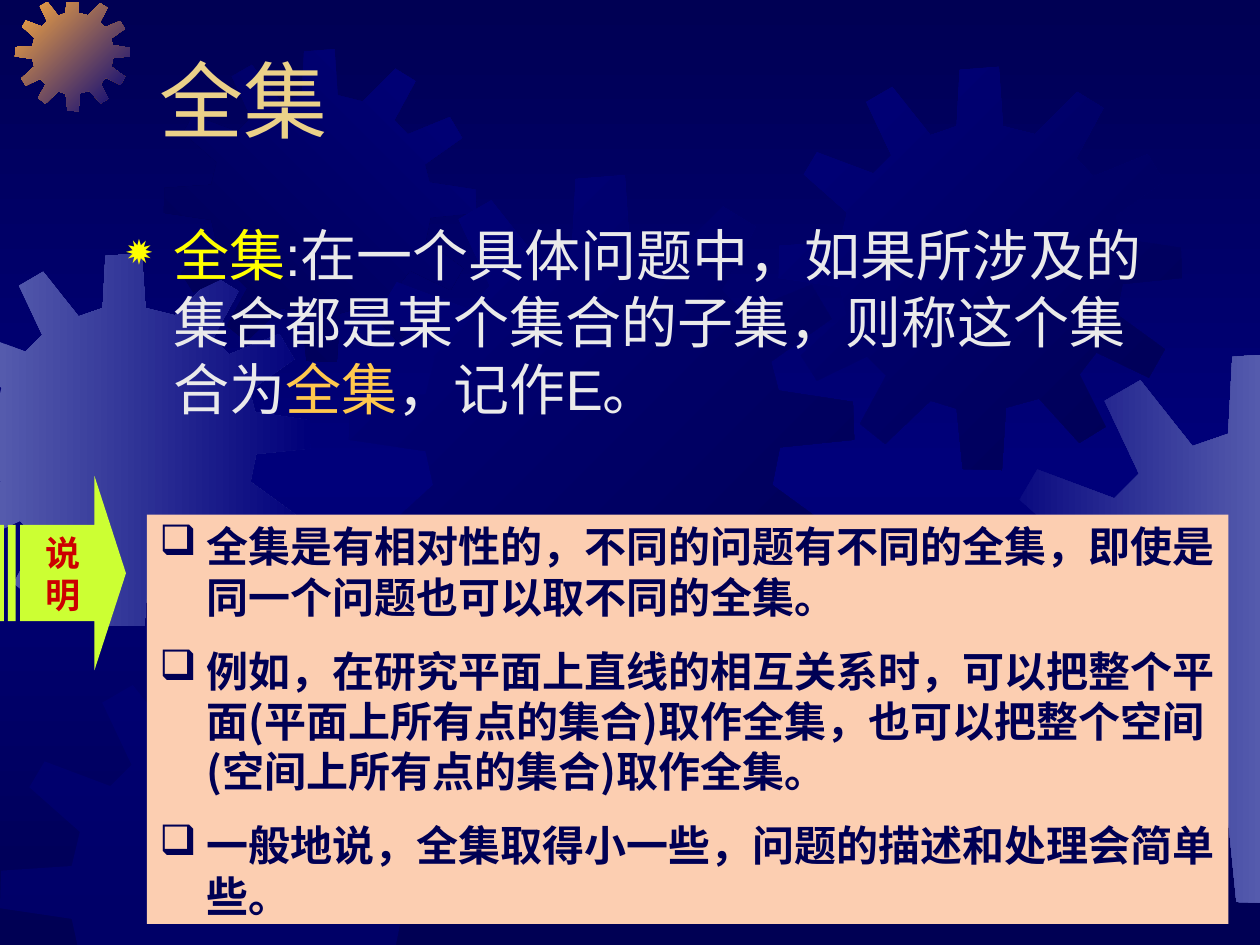
from copy import deepcopy
from lxml import etree
from pptx import Presentation
from pptx.dml.color import RGBColor
from pptx.enum import shapes, text
from pptx.oxml import ns
from pptx.util import Pt

COLORS = {
    "navy": "000054", "blue": "00007A", "violet": "555BAD", "orange": "FCAB40",
    "title": "EBD189", "lime": "CCFF33", "red": "CC0000", "peach": "FCCEB1",
    "yellow": "FFFF00", "light": "EAEAEA", "gold": "FFC84D",
}
RGB = {name: RGBColor.from_string(value) for name, value in COLORS.items()}

GEAR_SIZE = 401
GEAR_OUTLINE = [
    (255, 67), (223, 59), (219, 0), (180, 3), (177, 59), (151, 68), (113, 20), (87, 35),
    (112, 88), (94, 106), (38, 85), (25, 107), (68, 145), (61, 174), (1, 178), (0, 210),
    (61, 219), (67, 246), (22, 287), (38, 312), (88, 288), (107, 307), (81, 355), (106, 375),
    (151, 332), (177, 340), (183, 400), (222, 401), (226, 339), (259, 330), (299, 374), (325, 358),
    (299, 306), (316, 284), (368, 309), (384, 281), (336, 246), (342, 216), (401, 210), (400, 180),
    (341, 171), (335, 148), (383, 114), (367, 87), (313, 109), (296, 91), (323, 41), (297, 25),
]
GEARS = [
    (-35.3, 144.7, 213, "violet", "blue", 0),
    (8.6, -2.2, 65.7, "orange", "blue", 45),
    (93.6, 28.1, 178.6, "navy", "blue", 315),
    (199.4, 100.1, 288.7, "blue", "navy", 45),
    (0, 378, 269.3, "blue", None, 0),
    (353.5, 348.5, 178.6, "navy", "blue", 45),
    (445, 38.2, 230.4, "blue", "navy", 45),
    (563, 201.6, 314.6, "blue", "violet", 0),
]
EDGES = [(0, -0.7, 1), (0, 720.7, -1), (1, 1.4, 1), (1, 542.9, -1)]

presentation = Presentation()
presentation.slide_width, presentation.slide_height = Pt(720), Pt(540)
slide = presentation.slides.add_slide(presentation.slide_layouts[6])

background = slide.background.fill
background.gradient()
background.gradient_angle = 270
for stop, color in zip(background.gradient_stops, ("navy", "blue")):
    stop.color.rgb = RGB[color]
stop_list = next(slide.element.iter(ns.qn("a:gsLst")))
stop_list.append(deepcopy(stop_list[0]))
for stop, position in zip(background.gradient_stops, (0, 0.5, 1)):
    stop.position = position


def add_outline(contours):
    builder = None
    for contour in contours:
        start, *rest = [(Pt(x), Pt(y)) for x, y in contour]
        if builder is None:
            builder = slide.shapes.build_freeform(*start)
        else:
            builder.move_to(*start)
        builder.add_line_segments(rest, close=True)
    shape = builder.convert_to_shape()
    shape.shadow.inherit = False
    shape.line.fill.background()
    return shape


def write_text(shape, paragraphs, size, font_name, bold=False, space=0, bullet=None):
    frame = shape.text_frame
    frame.word_wrap = True
    for index, runs in enumerate(paragraphs):
        paragraph = frame.paragraphs[0] if index == 0 else frame.add_paragraph()
        paragraph.alignment = text.PP_ALIGN.LEFT
        paragraph.line_spacing = Pt(size * 1.2)
        if index:
            paragraph.space_before = Pt(space)
        if bullet:
            character, color, percent = bullet
            properties = paragraph._p.get_or_add_pPr()
            properties.set("marL", str(Pt(27)))
            properties.set("indent", str(-Pt(27)))
            bullet_color = etree.SubElement(properties, ns.qn("a:buClr"))
            etree.SubElement(bullet_color, ns.qn("a:srgbClr"), val=COLORS[color])
            etree.SubElement(properties, ns.qn("a:buSzPct"), val=str(percent * 1000))
            etree.SubElement(properties, ns.qn("a:buChar"), char=character)
        for content, color in runs:
            run = paragraph.add_run()
            run.text = content
            run.font.size, run.font.name, run.font.bold = Pt(size), font_name, bold
            run.font.color.rgb = RGB[color]


for left, top, size, first, last, angle in GEARS:
    scale = size / GEAR_SIZE
    points = [(left + x * scale, top + y * scale) for x, y in GEAR_OUTLINE]
    for axis, limit, sign in EDGES:
        kept = []
        for start, end in zip(points, points[1:] + points[:1]):
            before, after = ((point[axis] - limit) * sign for point in (start, end))
            if before >= 0:
                kept.append(start)
            if before * after < 0:
                share = before / (before - after)
                kept.append(tuple(a + (b - a) * share for a, b in zip(start, end)))
        points = kept
    gear = add_outline([points])
    if last:
        gear.fill.gradient()
        gear.fill.gradient_angle = (360 - angle) % 360
        for stop, color, position in zip(gear.fill.gradient_stops, (first, last), (0, 1)):
            stop.color.rgb = RGB[color]
            stop.position = position
    else:
        gear.fill.solid()
        gear.fill.fore_color.rgb = RGB[first]
        color_element = next(gear._element.spPr.iter(ns.qn("a:srgbClr")))
        etree.SubElement(color_element, ns.qn("a:alpha"), val="50000")

title = slide.shapes.add_textbox(Pt(84), Pt(24), Pt(612), Pt(64.8))
title.text_frame.vertical_anchor = text.MSO_ANCHOR.BOTTOM
write_text(title, [[("全集", "title")]], 48, "Arial")

ARROW_TOP, ARROW_BOTTOM = 300, 355
arrow_head = [(54, 272), (54, ARROW_TOP), (11.5, ARROW_TOP), (11.5, ARROW_BOTTOM),
              (54, ARROW_BOTTOM), (54, 383), (72, 327.6)]
stripes = [[(left, ARROW_TOP), (left, ARROW_BOTTOM), (right, ARROW_BOTTOM), (right, ARROW_TOP)]
           for left, right in ((4.5, 9), (0, 2.25))]
arrow = add_outline([arrow_head, *stripes])
arrow.fill.solid()
arrow.fill.fore_color.rgb = RGB["lime"]
arrow.text_frame.vertical_anchor = text.MSO_ANCHOR.MIDDLE
arrow.text_frame.margin_left = arrow.text_frame.margin_right = Pt(21)
write_text(arrow, [[("说明", "red")]], 20, "Arial", bold=True)
arrow.text_frame.paragraphs[0].alignment = text.PP_ALIGN.CENTER

remarks = slide.shapes.add_shape(shapes.MSO_SHAPE.RECTANGLE, Pt(84), Pt(294), Pt(618), Pt(234))
remarks.shadow.inherit = False
remarks.fill.solid()
remarks.fill.fore_color.rgb = RGB["peach"]
remarks.line.fill.background()
remarks.text_frame.vertical_anchor = text.MSO_ANCHOR.TOP
write_text(remarks, [[(content, "navy")] for content in (
    "全集是有相对性的，不同的问题有不同的全集，即使是同一个问题也可以取不同的全集。",
    "例如，在研究平面上直线的相互关系时，可以把整个平面(平面上所有点的集合)取作全集，"
    "也可以把整个空间(空间上所有点的集合)取作全集。",
    "一般地说，全集取得小一些，问题的描述和处理会简单些。",
)], 24, "Noto Sans CJK SC", bold=True, space=13.5, bullet=("❑", "navy", 100))

definition = slide.shapes.add_textbox(Pt(64.8), Pt(122.4), Pt(612), Pt(154.8))
write_text(definition, [[
    ("全集", "yellow"),
    (":在一个具体问题中，如果所涉及的集合都是某个集合的子集，则称这个集合为", "light"),
    ("全集", "gold"),
    ("，记作E。", "light"),
]], 32, "Arial", bullet=("✹", "yellow", 80))

presentation.save("out.pptx")
